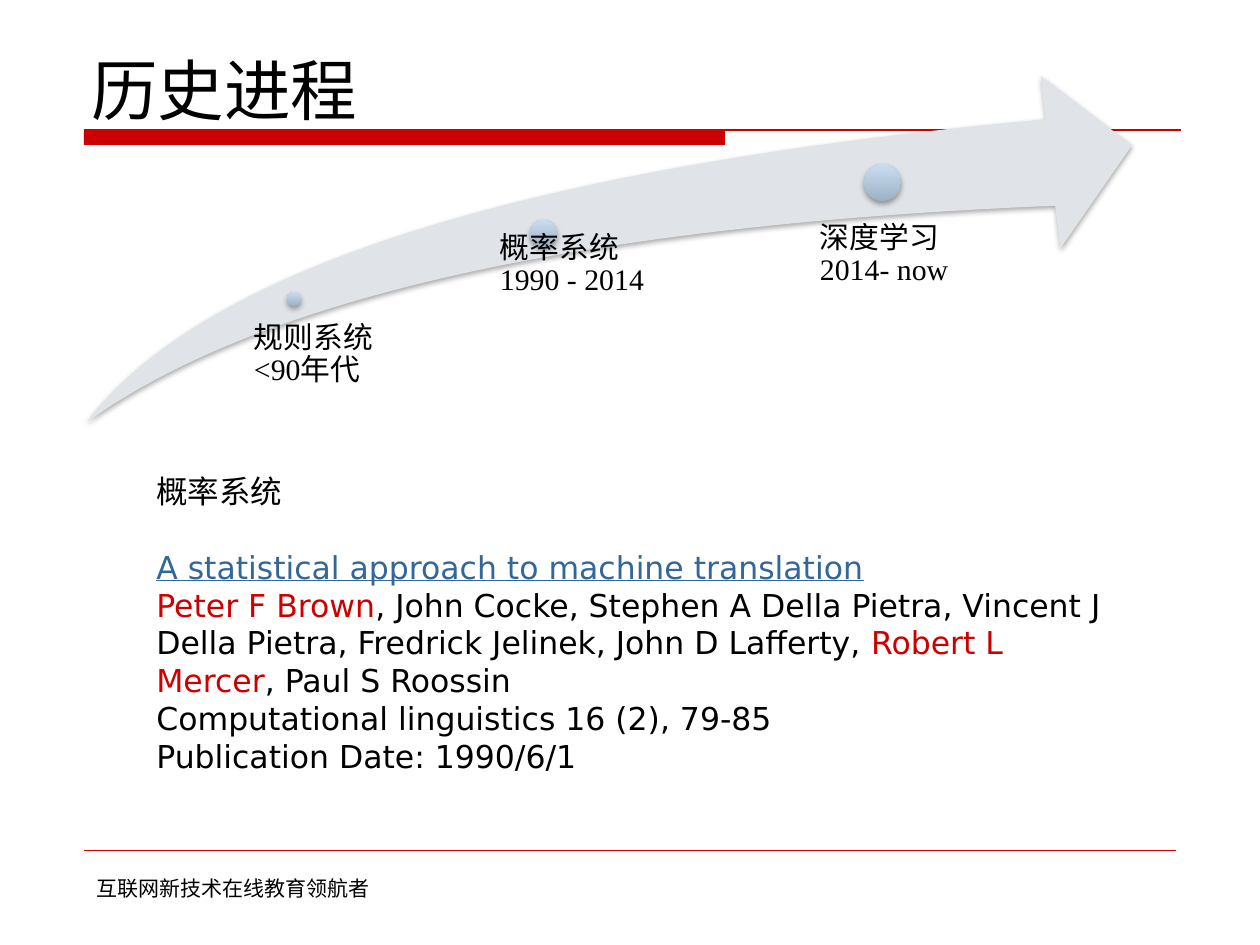
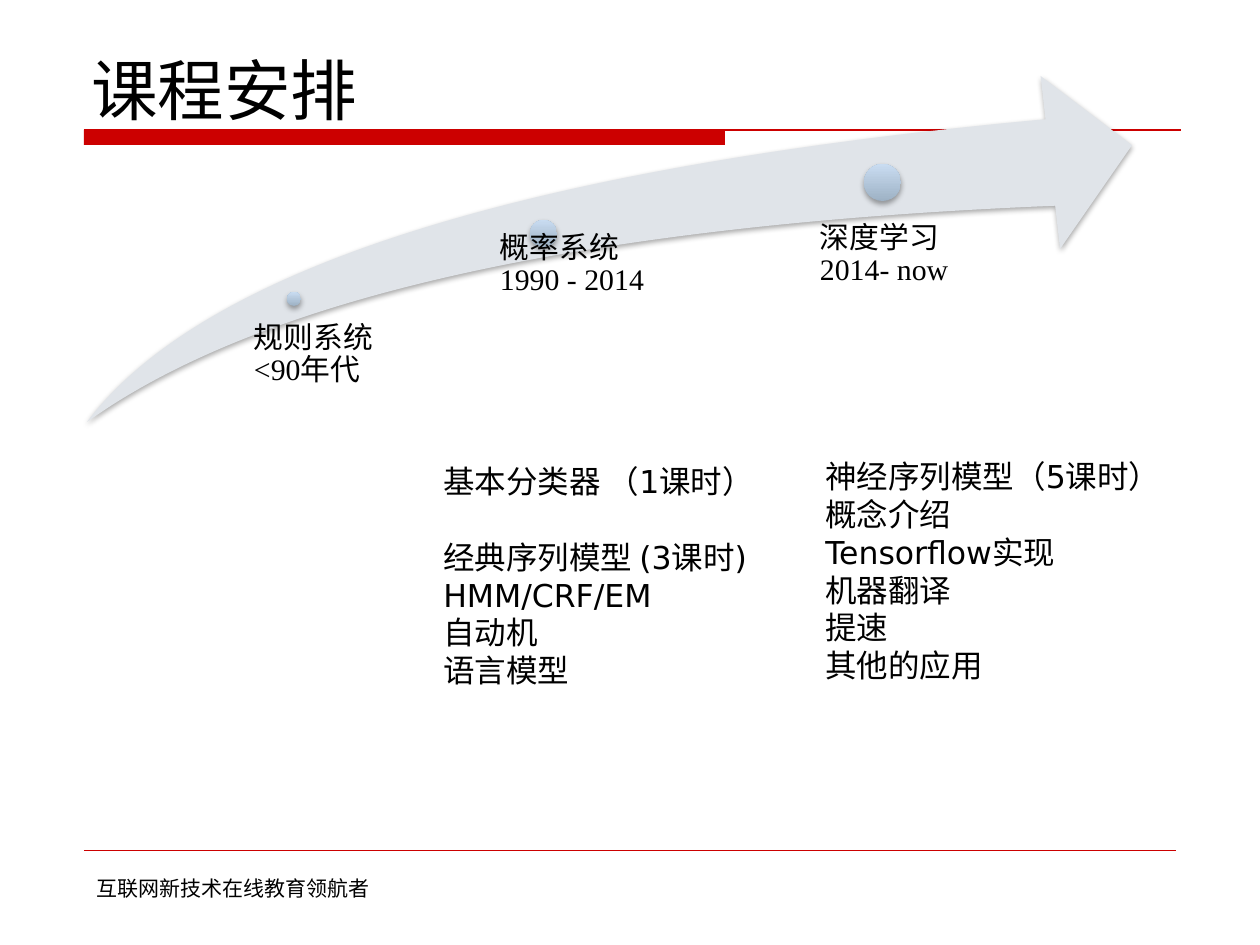
from dataclasses import dataclass
from typing import Any, NamedTuple

from lxml import etree
from pptx import Presentation
from pptx.dml.color import RGBColor
from pptx.enum.shapes import MSO_CONNECTOR, MSO_SHAPE
from pptx.enum.text import MSO_ANCHOR
from pptx.oxml.ns import qn
from pptx.util import Emu, Pt

OVAL = MSO_SHAPE.OVAL
RECT = MSO_SHAPE.RECTANGLE
SWOOSH = MSO_SHAPE.SWOOSH_ARROW
LINE = MSO_CONNECTOR.STRAIGHT
TOP = MSO_ANCHOR.TOP
BOTTOM = MSO_ANCHOR.BOTTOM
SCALE = 914400 / 126


@dataclass(frozen=True)
class Theme:
    black: str = "000000"
    red: str = "CC0000"
    blue: str = "336699"
    swoosh: str = "E0E4E9"
    dark: str = "9EB2C5"
    light: str = "C9DCF1"
    serif: str = "Times New Roman"
    sans: str = "DejaVu Sans"
    foot: str = "Noto Sans CJK SC"
    title: int = 38
    body: int = 18
    label: int = 17
    small: int = 12
    gap: float = 21.6


THEME = Theme()


class Box(NamedTuple):
    left: int
    top: int
    width: int
    height: int


class Piece(NamedTuple):
    text: str
    color: str = THEME.black
    line: bool = False


class Para(NamedTuple):
    pieces: list[Piece]
    gap: float = 0


class Stage(NamedTuple):
    dot: Box
    box: Box
    inset: int
    text: str


class Block(NamedTuple):
    box: Box
    paras: list[Para]


class Page(NamedTuple):
    title: str
    blocks: list[Block]


STAGES = [
    Stage(Box(287, 292, 14, 14), Box(246, 323, 130, 100), 8, "规则系统\n<90年代"),
    Stage(Box(530, 220, 27, 27), Box(486, 233, 179, 189), 14, "概率系统 1990 - 2014"),
    Stage(Box(864, 164, 37, 37), Box(801, 223, 188, 179), 19, "深度学习 2014- now"),
]


def plain(text: str, gap: float = 0) -> Para:
    return Para([Piece(text)], gap)


PAGES = [
    Page("历史进程", [
        Block(Box(144, 466, 980, 357), [
            plain("概率系统"),
            Para([Piece("A statistical approach to machine translation",
                        THEME.blue, True)], THEME.gap),
            Para([
                Piece("Peter F Brown", THEME.red),
                Piece(", John Cocke, Stephen A Della Pietra, Vincent J Della Pietra, "
                      "Fredrick Jelinek, John D Lafferty, "),
                Piece("Robert L Mercer", THEME.red),
                Piece(", Paul S Roossin"),
            ]),
            plain("Computational linguistics 16 (2), 79-85"),
            plain("Publication Date: 1990/6/1"),
        ]),
    ]),
    Page("课程安排", [
        Block(Box(431, 456, 343, 242), [
            plain("基本分类器 （1课时）"),
            plain("经典序列模型 (3课时)", THEME.gap),
            plain("HMM/CRF/EM"),
            plain("自动机"),
            plain("语言模型"),
        ]),
        Block(Box(813, 451, 364, 242), [
            plain("神经序列模型（5课时）"),
            plain("概念介绍"),
            plain("Tensorflow实现"),
            plain("机器翻译"),
            plain("提速"),
            plain("其他的应用"),
        ]),
    ]),
]


def px(value: int) -> Emu:
    return Emu(round(value * SCALE))


def put(item: Any, look: dict[str, Any]) -> None:
    for key, value in look.items():
        setattr(item, key, value)


def write(shapes: Any, box: Box, paras: list[Para], face: str, size: int,
          look: dict[str, Any] | None = None, lead: float | None = None) -> None:
    frame = shapes.add_textbox(*map(px, box)).text_frame
    put(frame, {"word_wrap": True, "vertical_anchor": TOP} | (look or {}))
    for spot, para in enumerate(paras):
        line = frame.add_paragraph() if spot else frame.paragraphs[0]
        if para.gap:
            line.space_before = Pt(para.gap)
        if lead:
            line.line_spacing = lead
        for piece in para.pieces:
            for row, text in enumerate(piece.text.split("\n")):
                if row:
                    line.add_line_break()
                run = line.add_run()
                run.text = text
                put(run.font, {"name": face, "size": Pt(size), "underline": piece.line})
                run.font.color.rgb = RGBColor.from_string(piece.color)


def shape(shapes: Any, kind: Any, box: Box, color: str | None = None) -> Any:
    item = shapes.add_shape(kind, *map(px, box))
    item.shadow.inherit = False
    item.line.fill.background()
    if color:
        item.fill.solid()
        item.fill.fore_color.rgb = RGBColor.from_string(color)
    return item


def shade(item: Any) -> None:
    effect = item._element.spPr.find(qn("a:effectLst"))
    cast = etree.SubElement(effect, qn("a:outerShdw"), blurRad="39370", dist="22860",
                            dir="5400000", rotWithShape="0")
    tone = etree.SubElement(cast, qn("a:srgbClr"), val=THEME.black)
    etree.SubElement(tone, qn("a:alpha"), val="35000")


def rule(shapes: Any, left: int, right: int, top: int, width: float) -> None:
    item = shapes.add_connector(LINE, px(left), px(top), px(right), px(top))
    item.line.color.rgb = RGBColor.from_string(THEME.red)
    item.line.width = Pt(width)
    etree.SubElement(item._element.spPr, qn("a:effectLst"))


def base(shapes: Any, title: str) -> None:
    shape(shapes, RECT, Box(84, 130, 641, 15), THEME.red)
    rule(shapes, 84, 1181, 130, 0.75)
    rule(shapes, 84, 1176, 850, 0.25)
    write(shapes, Box(84, 869, 301, 38), [plain("互联网新技术在线教育领航者")],
          THEME.foot, THEME.small, {"word_wrap": False})
    write(shapes, Box(79, 42, 1102, 93), [plain(title)], THEME.serif, THEME.title,
          {"vertical_anchor": BOTTOM})


def trail(shapes: Any) -> None:
    group = shapes.add_group_shape().shapes
    arrow = shape(group, SWOOSH, Box(87, 76, 1045, 346), THEME.swoosh)
    for spot in range(2):
        arrow.adjustments[spot] = 0.25
    shade(arrow)
    for stage in STAGES:
        dot = shape(group, OVAL, stage.dot)
        dot.fill.gradient()
        dot.fill.gradient_angle = 90
        for stop, color in zip(dot.fill.gradient_stops, (THEME.dark, THEME.light)):
            stop.color.rgb = RGBColor.from_string(color)
        shade(dot)
        write(group, stage.box, [plain(stage.text)], THEME.serif, THEME.label,
              {"margin_left": px(stage.inset), "margin_top": 0,
               "margin_right": 0, "margin_bottom": 0}, 0.9)


def main() -> None:
    deck = Presentation()
    put(deck, {"slide_width": px(1260), "slide_height": px(945)})
    for page in PAGES:
        shapes = deck.slides.add_slide(deck.slide_layouts[6]).shapes
        base(shapes, page.title)
        trail(shapes)
        for block in page.blocks:
            write(shapes, block.box, block.paras, THEME.sans, THEME.body)
    deck.save("out.pptx")


if __name__ == "__main__":
    main()
